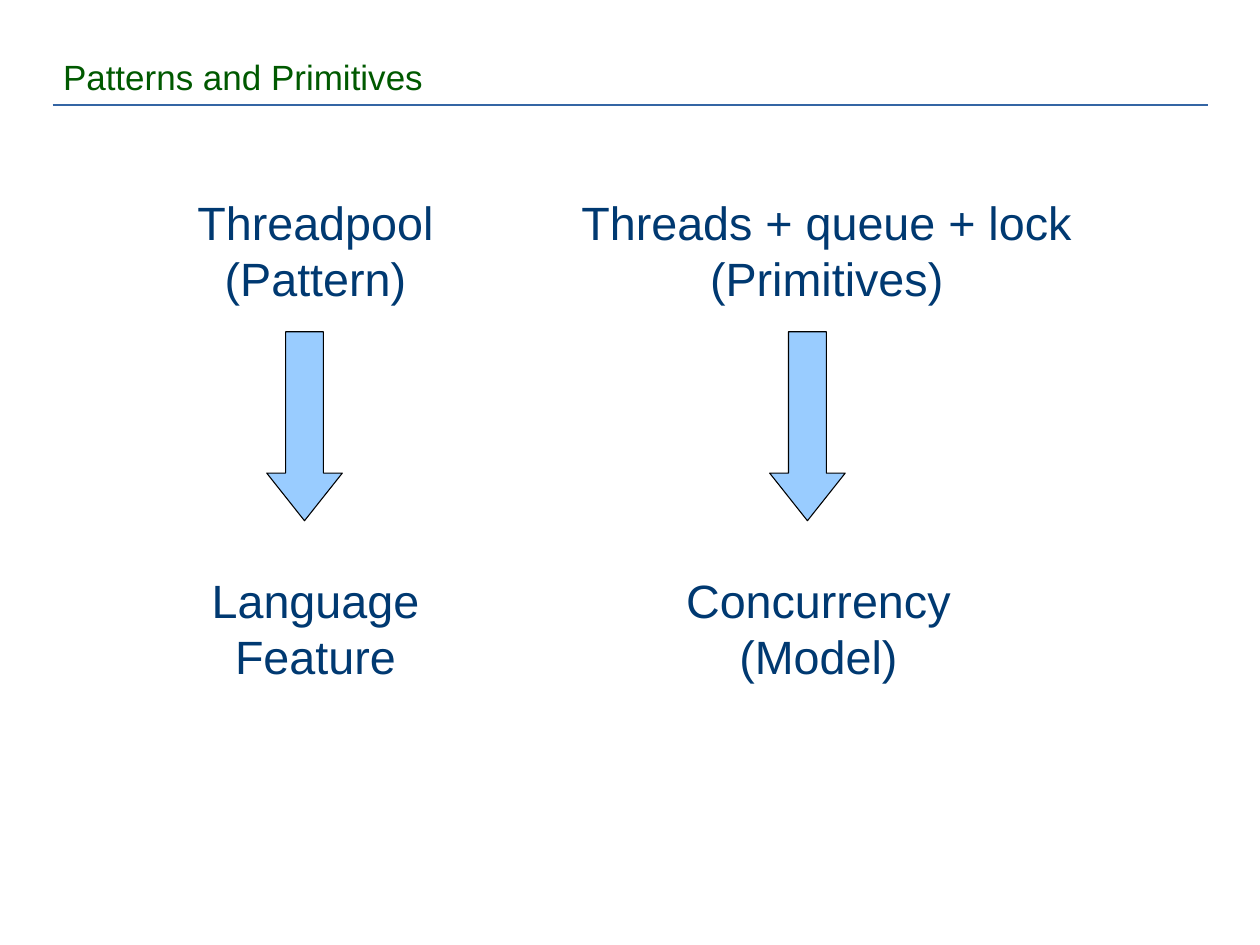
from pptx import Presentation
from pptx.dml.color import RGBColor
from pptx.enum.shapes import MSO_CONNECTOR, MSO_SHAPE
from pptx.enum.text import MSO_ANCHOR, MSO_AUTO_SIZE, PP_ALIGN
from pptx.oxml.ns import qn
from pptx.util import Inches, Pt
from lxml.etree import SubElement


def rgb(value):
    return RGBColor.from_string(value)


class Deck:
    """Holds the style and the current slide, and adds its elements."""

    font = "Arial"
    title_color = "005900"
    text_color = "003971"
    rule_color = "3465A4"
    arrow_fill = "99CCFF"
    arrow_line = "000000"

    def __init__(self, width, height):
        self.prs = Presentation()
        self.prs.slide_width = Inches(width)
        self.prs.slide_height = Inches(height)
        self.s = self.prs.slides.add_slide(self.prs.slide_layouts[5])

    def run(self, p, text, size, color):
        r = p.add_run()
        r.text = text
        r.font.name = self.font
        r.font.size = Pt(size)
        r.font.color.rgb = rgb(color)

    def title(self, text, x, y, w, h):
        sp = self.s.shapes.title
        sp.left, sp.top, sp.width, sp.height = map(Inches, (x, y, w, h))
        tf = sp.text_frame
        tf.word_wrap = True
        tf.auto_size = MSO_AUTO_SIZE.NONE
        tf.vertical_anchor = MSO_ANCHOR.BOTTOM
        tf.margin_left = 0
        p = tf.paragraphs[0]
        p.alignment = PP_ALIGN.LEFT
        p.line_spacing = 0.9
        self.run(p, text, 24, self.title_color)

    def rule(self, x1, x2, y):
        line = self.s.shapes.add_connector(
            MSO_CONNECTOR.STRAIGHT, Inches(x1), Inches(y), Inches(x2), Inches(y))
        line.line.color.rgb = rgb(self.rule_color)
        line.line.width = Pt(0)
        SubElement(line._element.spPr, qn("a:effectLst"))

    def label(self, paragraphs, x, y, w, h):
        sp = self.s.shapes.add_textbox(*map(Inches, (x, y, w, h)))
        tf = sp.text_frame
        tf.word_wrap = True
        for i, text in enumerate(paragraphs):
            p = tf.add_paragraph() if i else tf.paragraphs[0]
            p.alignment = PP_ALIGN.CENTER
            self.run(p, text, 32, self.text_color)

    def down_arrow(self, x, y, w, h):
        sp = self.s.shapes.add_shape(MSO_SHAPE.DOWN_ARROW, *map(Inches, (x, y, w, h)))
        sp.adjustments[0] = 0.5
        sp.adjustments[1] = 0.63
        sp.shadow.inherit = False
        sp.fill.solid()
        sp.fill.fore_color.rgb = rgb(self.arrow_fill)
        sp.line.color.rgb = rgb(self.arrow_line)
        sp.line.width = Pt(0)


def main():
    deck = Deck(12, 9)
    deck.rule(0.5, 11.5, 1)
    deck.title("Patterns and Primitives", 0.6, 0.26, 10.8, 0.72)

    columns = [
        (["Threadpool (Pattern)"], 1.2, 3.61, 2.54, ["Language Feature"], 1.2),
        (["Threads + queue + lock (Primitives)"], 4.81, 6.13, 7.33,
         ["Concurrency", "(Model)"], 5.99),
    ]
    for source, source_x, source_w, arrow_x, result, result_x in columns:
        deck.label(source, source_x, 1.8, source_w, 1.1)
        deck.down_arrow(arrow_x, 3.16, 0.72, 1.8)
        deck.label(result, result_x, 5.4, 3.61, 1.1)

    deck.prs.save("out.pptx")


if __name__ == "__main__":
    main()
